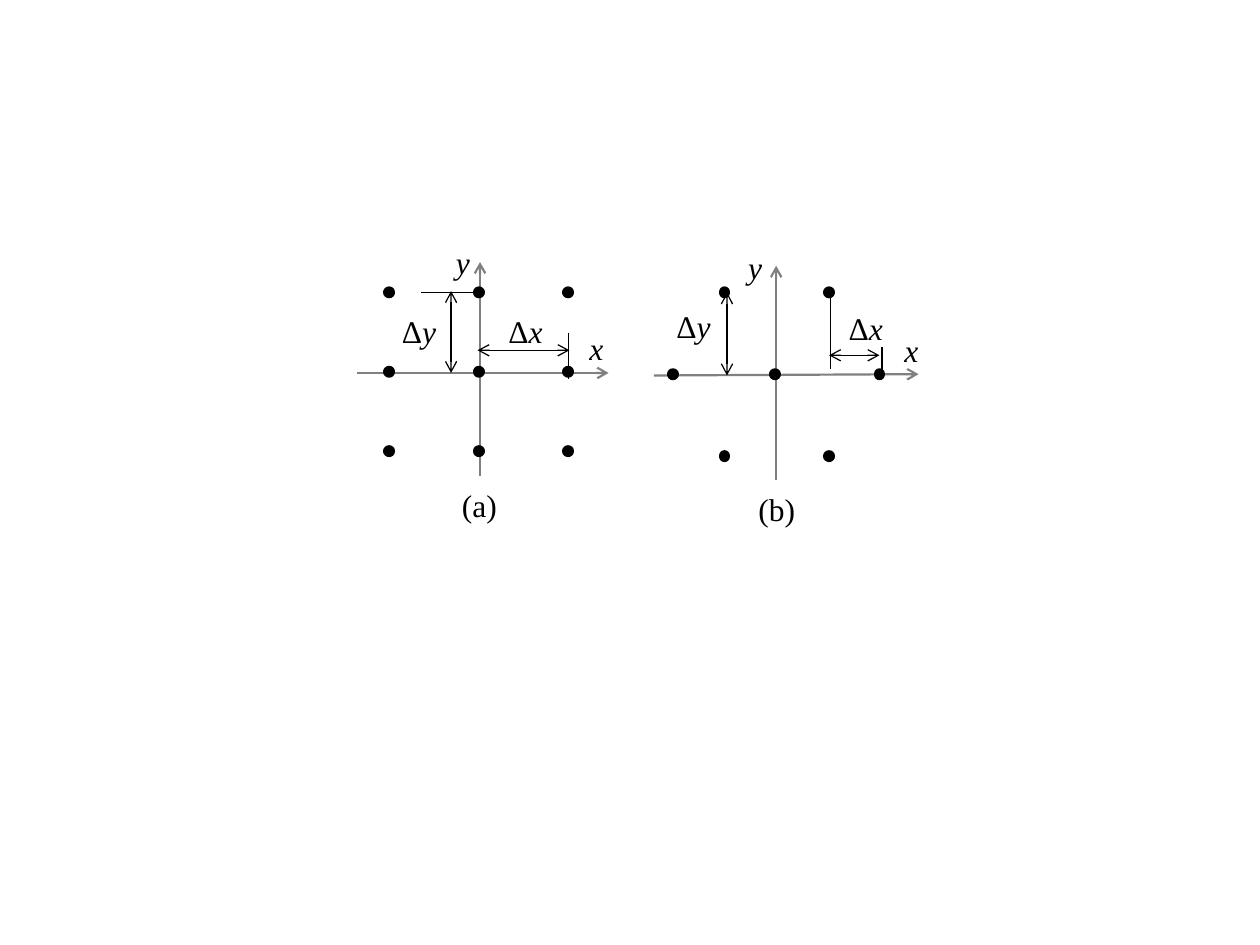
from dataclasses import dataclass
from itertools import product

from lxml import etree
from pptx import Presentation
from pptx.dml.color import RGBColor
from pptx.enum import dml, shapes, text
from pptx.oxml.ns import qn
from pptx.util import Inches, Pt


@dataclass(frozen=True)
class Theme:
    ink: RGBColor = RGBColor(0x00, 0x00, 0x00)
    axis: RGBColor = RGBColor(0x80, 0x80, 0x80)
    font: str = "Times New Roman"
    size: Pt = Pt(18)
    thin: Pt = Pt(0.75)
    axis_width: Pt = Pt(1.25)
    dot: Pt = Pt(6.75)


THEME = Theme()


def add_line(parent, origin, start, end, color=THEME.ink, width=THEME.thin, arrows=()):
    """Draw a line between two points measured in inches from the origin."""
    ox, oy = origin
    sp = parent.add_connector(
        shapes.MSO_CONNECTOR.STRAIGHT,
        Inches(ox + start[0]), Inches(oy + start[1]),
        Inches(ox + end[0]), Inches(oy + end[1]))
    sp.line.color.rgb = color
    sp.line.width = width
    ln = sp.line._get_or_add_ln()
    for tag in arrows:
        etree.SubElement(ln, qn(f"a:{tag}"), type="arrow")
    etree.SubElement(sp._element.spPr, qn("a:effectLst"))
    return sp


def add_axis(parent, origin, start, end):
    add_line(parent, origin, start, end, THEME.axis, THEME.axis_width, ("tailEnd",))


def add_dimension(parent, origin, start, end):
    add_line(parent, origin, start, end, arrows=("headEnd", "tailEnd"))


def add_dots(parent, origin, points):
    """Each sample point is a very short, thick line with round caps."""
    for x, y in points:
        sp = add_line(parent, origin, (x, y), (x, y + 0.01), width=THEME.dot)
        sp.line.dash_style = dml.MSO_LINE.ROUND_DOT
        sp.line._get_or_add_ln().set("cap", "rnd")


def add_label(parent, origin, at, width, upright="", italic="", centered=False):
    sp = parent.add_textbox(Inches(origin[0] + at[0]), Inches(origin[1] + at[1]),
                            Inches(width), Inches(0.4))
    tf = sp.text_frame
    tf.word_wrap = True
    p = tf.paragraphs[0]
    p.alignment = text.PP_ALIGN.CENTER if centered else text.PP_ALIGN.LEFT
    for content, slanted in ((upright, False), (italic, True)):
        if content:
            r = p.add_run()
            r.text = content
            r.font.name = THEME.font
            r.font.size = THEME.size
            r.font.italic = slanted
            r.font.color.rgb = THEME.ink


def rectangular_lattice(slide, left, top):
    """Panel (a): a 3 x 3 sampling grid."""
    origin = (left + 0.97, top + 1.07)
    dx, dy = 0.71, 0.63
    g = slide.shapes.add_group_shape().shapes

    # Axes and sample points
    add_axis(g, origin, (-0.97, 0.01), (1.03, 0.01))
    add_axis(g, origin, (0.01, 0.83), (0.01, -0.87))
    add_dots(g, origin, product((-dx, 0, dx), (-dy, 0, dy)))

    # Spacing dimensions with their extension lines
    add_line(g, origin, (dx, -0.31), (dx, 0.06))
    add_dimension(g, origin, (-0.01, -0.17), (dx + 0.01, -0.17))
    add_line(g, origin, (-0.46, -dy), (-0.04, -dy))
    add_dimension(g, origin, (-0.22, 0.01), (-0.22, -dy - 0.01))

    # Labels
    add_label(g, origin, (0.01, -0.52), 0.72, "Δ", "x", centered=True)
    add_label(g, origin, (-0.78, -0.52), 0.61, "Δ", "y", centered=True)
    add_label(g, origin, (0.78, -0.39), 0.31, italic="x")
    add_label(g, origin, (-0.28, -1.07), 0.31, italic="y")
    add_label(slide.shapes, origin, (-0.52, 0.86), 1.05, "(a)", centered=True)


def hexagonal_lattice(slide, left, top):
    """Panel (b): sampling rows offset by half a step."""
    origin = (left + 0.97, top + 1.06)
    dx, dy = 0.41, 0.65
    g = slide.shapes.add_group_shape().shapes

    # Axes and sample points
    add_axis(g, origin, (0, 0.83), (0, -0.87))
    add_axis(g, origin, (-0.97, 0), (1.13, -0.01))
    add_dots(g, origin, [(x, -0.01) for x in (-2 * dx, -0.01, 2 * dx)])
    add_dots(g, origin, product((-dx, dx + 0.01), (-dy - 0.01, dy - 0.01)))

    # Spacing dimensions with their extension lines
    add_dimension(g, origin, (dx + 0.01, -0.16), (2 * dx, -0.16))
    add_line(g, origin, (2 * dx + 0.02, -0.23), (2 * dx + 0.02, -0.03))
    add_dimension(g, origin, (-dx + 0.02, -dy - 0.01), (-dx + 0.02, 0))
    add_line(g, origin, (dx + 0.02, -dy), (dx + 0.02, -0.05))

    # Labels
    add_label(g, origin, (0.35, -0.58), 0.72, "Δ", "x", centered=True)
    add_label(g, origin, (-0.89, -0.59), 0.63, "Δ", "y")
    add_label(g, origin, (0.92, -0.4), 0.36, italic="x")
    add_label(g, origin, (-0.32, -1.06), 0.36, italic="y")
    add_label(slide.shapes, origin, (-0.52, 0.86), 1.05, "(b)", centered=True)


def main():
    prs = Presentation()
    prs.slide_width, prs.slide_height = Inches(10), Inches(7.5)
    slide = prs.slides.add_slide(prs.slide_layouts[6])
    rectangular_lattice(slide, 2.83, 1.88)
    hexagonal_lattice(slide, 5.19, 1.92)
    prs.save("out.pptx")


if __name__ == "__main__":
    main()
